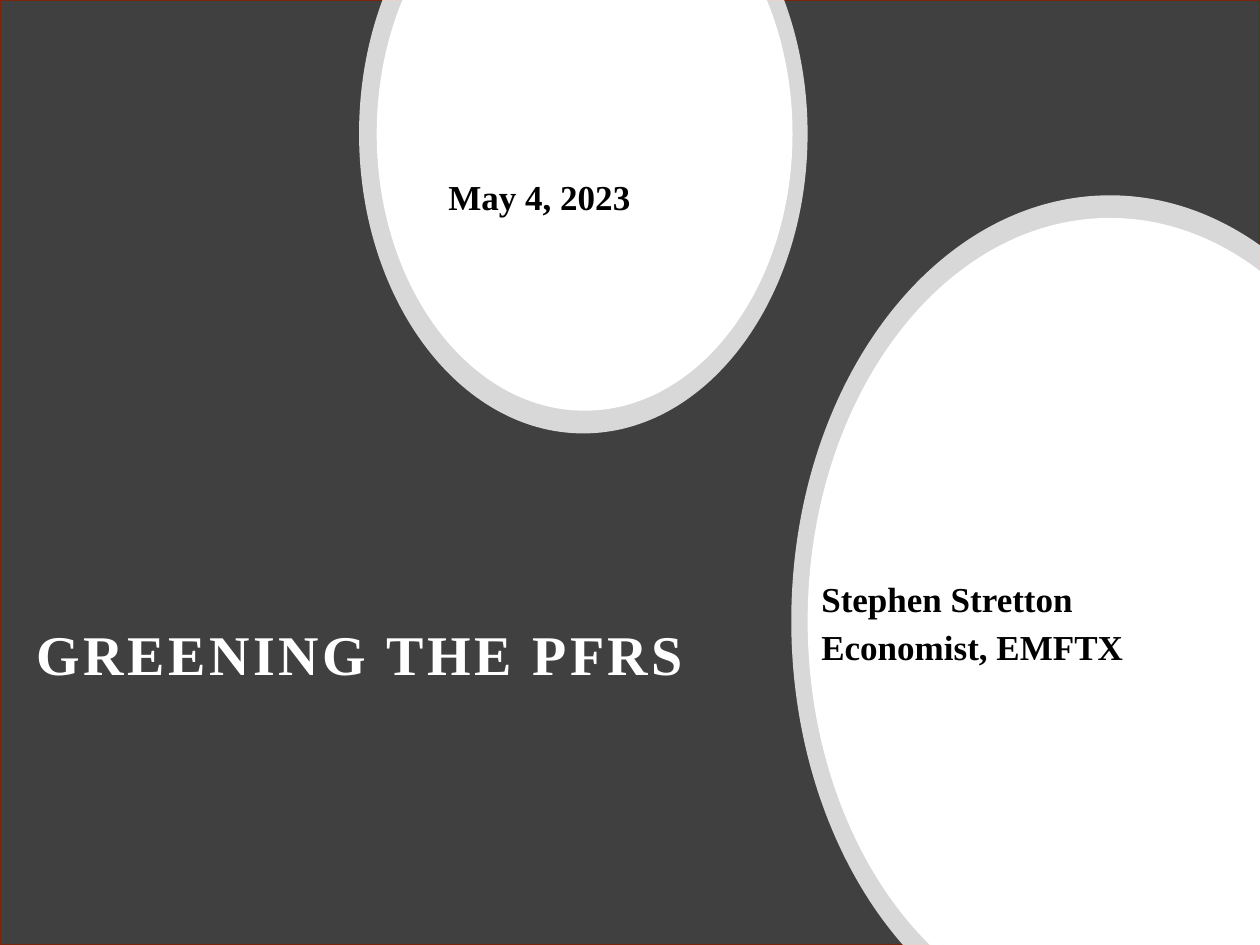
import math

import pptx
import pptx.dml.color
import pptx.enum.shapes
import pptx.enum.text
import pptx.oxml.ns
import pptx.util
from lxml import etree
from pptx.util import Inches

WIDTH, HEIGHT = 10, 7.5
TITLE = "GREENING THE PFRS"
DATE = ["May 4, 2023"]
SPEAKER = ["Stephen Stretton", "Economist, EMFTX"]

THEME = {
    "font": "Times New Roman",
    "title_size": 32,
    "body_size": 20,
    "backdrop": "C00000",
    "panel": "404040",
    "panel_line": "7A240B",
    "light": "FFFFFF",
    "dark": "000000",
}

# centre x, centre y, horizontal radius, vertical radius
DATE_RING = (4.63, 1.06, 1.78, 2.38)
DATE_OVAL = (4.64, 1.06, 1.65, 2.2)
SPEAKER_RING = (8.81, 4.93, 2.53, 3.38)
SPEAKER_OVAL = (8.81, 4.93, 2.4, 3.2)
RING_OPACITY = 80


def color(name):
    return pptx.dml.color.RGBColor.from_string(THEME[name])


def paint(shape, fill):
    shape.shadow.inherit = False
    shape.fill.solid()
    shape.fill.fore_color.rgb = color(fill)
    shape.line.fill.background()


def add_panel(page):
    panel = page.shapes.add_shape(
        pptx.enum.shapes.MSO_SHAPE.RECTANGLE, 0, 0, Inches(WIDTH), Inches(HEIGHT))
    paint(panel, "panel")
    panel.line.color.rgb = color("panel_line")
    panel.line.width = pptx.util.Pt(1)
    page.shapes.title.element.addprevious(panel.element)


def top_angles(oval):
    """Angles, clockwise from the right, of an oval cut by the top edge."""
    _, center_y, _, radius_y = oval
    cut = math.asin(center_y / radius_y)
    return [-cut, 0, math.pi / 2, math.pi, math.pi + cut]


def corner_angles(oval):
    """Angles of an oval cut by the bottom and right edges."""
    center_x, center_y, radius_x, radius_y = oval
    bottom_cut = math.pi - math.asin((HEIGHT - center_y) / radius_y)
    right_cut = 2 * math.pi - math.acos((WIDTH - center_x) / radius_x)
    return [bottom_cut, math.pi, 1.5 * math.pi, right_cut]


def arc_controls(oval, start, end):
    """The two control points and the end point of a Bezier arc."""
    center_x, center_y, radius_x, radius_y = oval
    reach = 4 / 3 * math.tan((end - start) / 4)
    return [
        (Inches(center_x + radius_x * (math.cos(angle) - pull * math.sin(angle))),
         Inches(center_y + radius_y * (math.sin(angle) + pull * math.cos(angle))))
        for angle, pull in ((start, reach), (end, -reach), (end, 0))
    ]


def add_oval(page, oval, angles, corners=(), opacity=100):
    arcs = [arc_controls(oval, *pair) for pair in zip(angles, angles[1:])]
    start = arc_controls(oval, angles[0], angles[0])[-1]
    anchors = [arc[-1] for arc in arcs]
    anchors += [(Inches(x), Inches(y)) for x, y in corners]
    builder = page.shapes.build_freeform(*start)
    builder.add_line_segments(anchors, close=True)
    shape = builder.convert_to_shape()
    paint(shape, "light")

    qn = pptx.oxml.ns.qn
    lines = list(shape.element.iter(qn("a:lnTo")))
    for line, arc in zip(lines, arcs):
        curve = etree.Element(qn("a:cubicBezTo"))
        for x, y in arc:
            etree.SubElement(curve, qn("a:pt"),
                             x=str(x - shape.left), y=str(y - shape.top))
        line.getparent().replace(line, curve)
    if opacity < 100:
        rgb = shape.element.spPr.find(".//" + qn("a:srgbClr"))
        etree.SubElement(rgb, qn("a:alpha"), val=str(opacity * 1000))


def write(box, lines, size, ink, space_after=0):
    frame = box.text_frame
    frame.text = "\n".join(lines)
    frame.word_wrap = True
    frame.auto_size = pptx.enum.text.MSO_AUTO_SIZE.NONE
    frame.vertical_anchor = pptx.enum.text.MSO_ANCHOR.MIDDLE
    for para in frame.paragraphs:
        para.alignment = pptx.enum.text.PP_ALIGN.LEFT
        para.line_spacing = 0.9
        para.space_before = pptx.util.Pt(0)
        para.space_after = pptx.util.Pt(space_after)
        for span in para.runs:
            span.font.name = THEME["font"]
            span.font.size = pptx.util.Pt(THEME[size])
            span.font.bold = True
            span.font.color.rgb = color(ink)


def add_title(page):
    title = page.shapes.title
    title.left, title.top = Inches(0.19), Inches(3.44)
    title.width, title.height = Inches(6.21), Inches(3.56)
    write(title, [TITLE], "title_size", "light")
    for span in title.text_frame.paragraphs[0].runs:
        span.font._element.set("spc", "200")


def main():
    deck = pptx.Presentation()
    deck.slide_width, deck.slide_height = Inches(WIDTH), Inches(HEIGHT)
    page = deck.slides.add_slide(deck.slide_layouts[5])
    page.background.fill.solid()
    page.background.fill.fore_color.rgb = color("backdrop")

    add_panel(page)
    add_title(page)

    corner = [(WIDTH, HEIGHT)]
    add_oval(page, DATE_RING, top_angles(DATE_RING), opacity=RING_OPACITY)
    add_oval(page, SPEAKER_RING, corner_angles(SPEAKER_RING), corner, RING_OPACITY)

    add_oval(page, DATE_OVAL, top_angles(DATE_OVAL))
    date_box = page.shapes.add_textbox(
        Inches(3.46), Inches(0.39), Inches(2.36), Inches(1.96))
    write(date_box, DATE, "body_size", "dark")
    date_box.text_frame.margin_top = Inches(0.47)

    add_oval(page, SPEAKER_OVAL, corner_angles(SPEAKER_OVAL), corner)
    speaker_box = page.shapes.add_textbox(
        Inches(6.42), Inches(3.44), Inches(3.57), Inches(3.04))
    write(speaker_box, SPEAKER, "body_size", "dark", space_after=6)

    deck.save("out.pptx")


if __name__ == "__main__":
    main()
